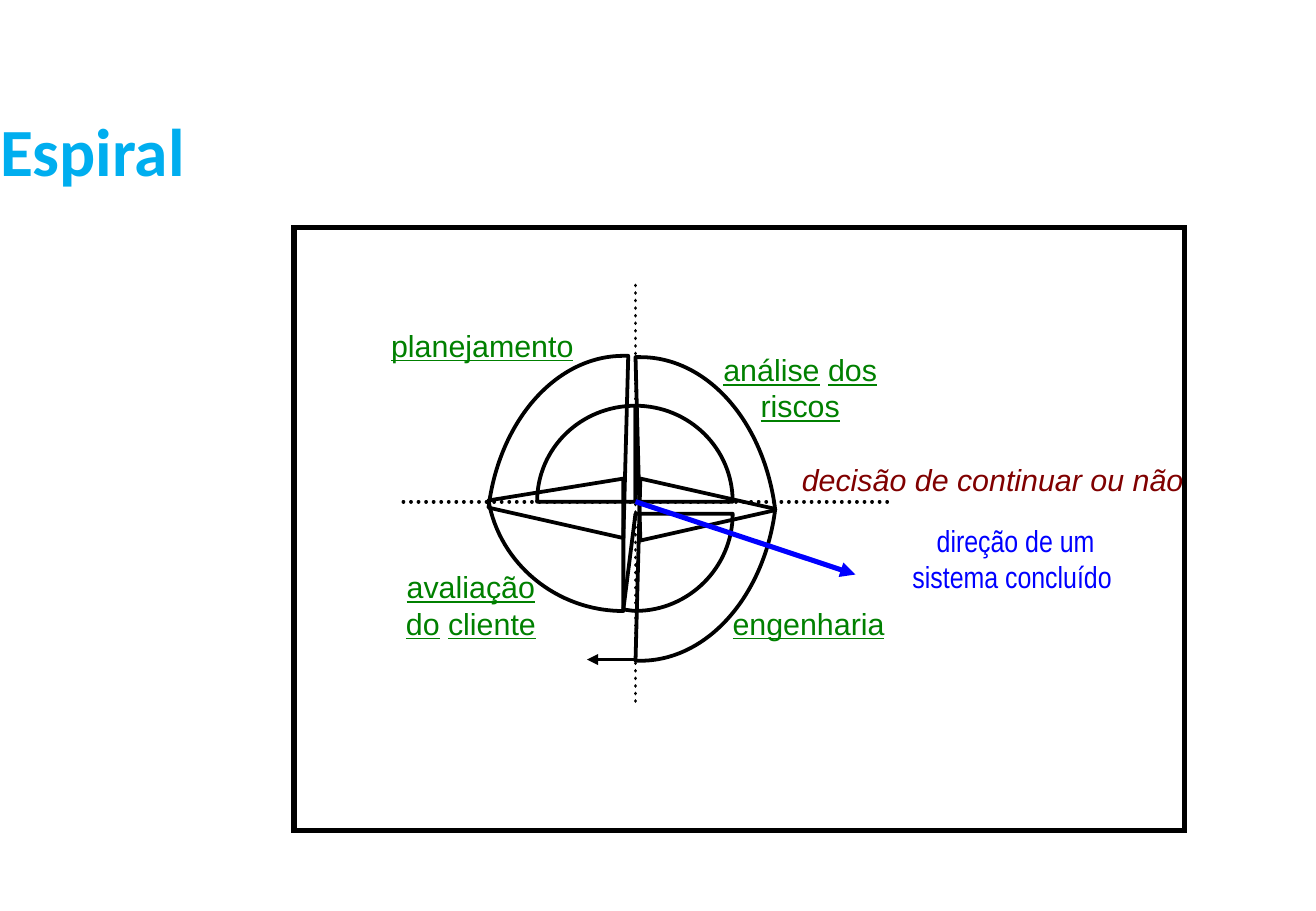
from lxml import etree
from pptx import Presentation
from pptx.dml.color import RGBColor
from pptx.enum.dml import MSO_LINE
from pptx.enum.shapes import MSO_CONNECTOR, MSO_SHAPE
from pptx.enum.text import MSO_ANCHOR, MSO_AUTO_SIZE, PP_ALIGN
from pptx.oxml.ns import qn
from pptx.util import Inches, Pt

DOTTED = MSO_LINE.ROUND_DOT
STRAIGHT = MSO_CONNECTOR.STRAIGHT
LEFT, CENTER = PP_ALIGN.LEFT, PP_ALIGN.CENTER
TITLE_ONLY = 5

# Content
COLORS = {"title": "00AEEF", "ink": "000000", "paper": "FFFFFF",
          "phase": "008000", "decision": "800000", "direction": "0000FF"}
TITLE = "Espiral"
TITLE_AREA = (0, 0.67, 9.21, 1.25)
FRAME = (2.42, 1.87, 7.33, 4.97)

PHASE = {"color": "phase", "underline": True}
LABELS = [
    ("decisão de continuar ou não", (6.5, 3.75, 3.43, 0.5),
     {"color": "decision", "italic": True}),
    (" direção de um sistema concluído", (7.25, 4.25, 2.16, 1.33),
     {"color": "direction", "font": "Arial Narrow", "align": CENTER}),
    ("avaliação do cliente", (3.12, 4.63, 1.51, 0.89), {**PHASE, "align": CENTER}),
    ("engenharia", (5.93, 4.93, 2.11, 0.89), PHASE),
    ("análise dos riscos", (5.53, 2.84, 2.11, 0.89), {**PHASE, "align": CENTER}),
    ("planejamento", (3.12, 2.64, 2.11, 0.89), PHASE),
]

# Each wedge of the spiral: start of the arc, three points per Bézier curve, apex
WEDGES = [
    ((5.23, 3.34), [(4.78, 3.34), (4.42, 3.69), (4.42, 4.13)], (5.23, 4.13)),
    ((6.03, 4.13), [(6.03, 3.69), (5.67, 3.34), (5.23, 3.34)], (5.23, 4.13)),
    ((6.03, 4.23), [(6.03, 4.67), (5.67, 5.03), (5.23, 5.03),
                    (5.2, 5.03), (5.16, 5.02), (5.13, 5.02)], (5.23, 4.23)),
    ((4.02, 4.12), [(4.11, 4.64), (4.58, 5.03), (5.13, 5.03)], (5.13, 3.94)),
    ((4.02, 4.18), [(4.11, 3.46), (4.58, 2.93), (5.13, 2.93),
                    (5.14, 2.93), (5.16, 2.93), (5.17, 2.93)], (5.13, 4.43)),
    ((6.38, 4.2), [(6.29, 3.47), (5.82, 2.94), (5.27, 2.94),
                   (5.26, 2.94), (5.24, 2.94), (5.23, 2.94)], (5.27, 4.45)),
    ((6.38, 4.19), [(6.29, 4.91), (5.82, 5.44), (5.27, 5.44),
                    (5.26, 5.44), (5.24, 5.44), (5.23, 5.44)], (5.27, 3.94)),
]

LINES = [
    ((5.23, 5.43), (4.83, 5.43), {"arrow": True}),
    ((5.23, 2.35), (5.23, 5.82), {"dash": DOTTED}),
    ((3.32, 4.13), (7.34, 4.13), {"dash": DOTTED}),
    ((5.23, 4.13), (7.04, 4.73), {"color": "direction", "width": 3, "arrow": True}),
]


def rgb(name):
    return RGBColor.from_string(COLORS[name])


def inches(values):
    return [Inches(value) for value in values]


def write(para, text, color="ink", font="Arial", size=18, bold=False,
          italic=False, underline=False, align=LEFT):
    """Add text to a paragraph; underlining skips the spaces between words."""
    para.alignment = align
    pieces = text.replace(" ", "| |").split("|") if underline else [text]
    for piece in pieces:
        span = para.add_run()
        span.text = piece
        span.font.name, span.font.size = font, Pt(size)
        span.font.bold, span.font.italic = bold, italic
        span.font.underline = underline and piece != " "
        span.font.color.rgb = rgb(color)


def set_line(line, color="ink", width=2.25):
    line.color.rgb = rgb(color)
    line.width = Pt(width)


def add_label(page, text, area, style):
    box = page.shapes.add_textbox(*inches(area))
    box.text_frame.word_wrap = True
    write(box.text_frame.paragraphs[0], text, **style)


def add_wedge(page, start, curve, apex):
    builder = page.shapes.build_freeform(*inches(start))
    builder.add_line_segments([inches(point) for point in curve + [apex]], close=True)
    wedge = builder.convert_to_shape()
    wedge.shadow.inherit = False
    wedge.fill.background()
    set_line(wedge.line)
    # Join every three steps before the apex into one Bézier curve
    steps = list(wedge._element.iter(qn("a:lnTo")))[:len(curve)]
    for index in range(0, len(steps), 3):
        bezier = etree.Element(qn("a:cubicBezTo"))
        steps[index].addprevious(bezier)
        for step in steps[index:index + 3]:
            bezier.append(step[0])
            step.getparent().remove(step)


def add_line(page, begin, end, color="ink", width=2.25, dash=None, arrow=False):
    connector = page.shapes.add_connector(STRAIGHT, *inches(begin + end))
    set_line(connector.line, color, width)
    outline = connector.line._get_or_add_ln()
    if dash:
        connector.line.dash_style = dash
        outline.set("cap", "rnd")
    if arrow:
        etree.SubElement(outline, qn("a:tailEnd"), type="triangle")
    etree.SubElement(connector._element.spPr, qn("a:effectLst"))


def main():
    deck = Presentation()
    deck.slide_width, deck.slide_height = Inches(10.83), Inches(7.5)
    page = deck.slides.add_slide(deck.slide_layouts[TITLE_ONLY])

    # Title
    title = page.shapes.title
    title.left, title.top, title.width, title.height = inches(TITLE_AREA)
    frame = title.text_frame
    frame.margin_left = frame.margin_right = frame.margin_top = frame.margin_bottom = 0
    frame.vertical_anchor = MSO_ANCHOR.MIDDLE
    frame.auto_size = MSO_AUTO_SIZE.NONE
    frame.paragraphs[0].line_spacing = 0.8
    write(frame.paragraphs[0], TITLE, color="title", font="Calibri", size=40, bold=True)

    # Diagram frame with square corners
    border = page.shapes.add_shape(MSO_SHAPE.RECTANGLE, *inches(FRAME))
    border.shadow.inherit = False
    border.fill.solid()
    border.fill.fore_color.rgb = rgb("paper")
    set_line(border.line, width=3)
    etree.SubElement(border.line._get_or_add_ln(), qn("a:miter"), lim="800000")

    # Labels, spiral, axes and arrows
    for text, area, style in LABELS:
        add_label(page, text, area, style)
    for start, curve, apex in WEDGES:
        add_wedge(page, start, curve, apex)
    for begin, end, style in LINES:
        add_line(page, begin, end, **style)

    deck.save("out.pptx")


if __name__ == "__main__":
    main()
